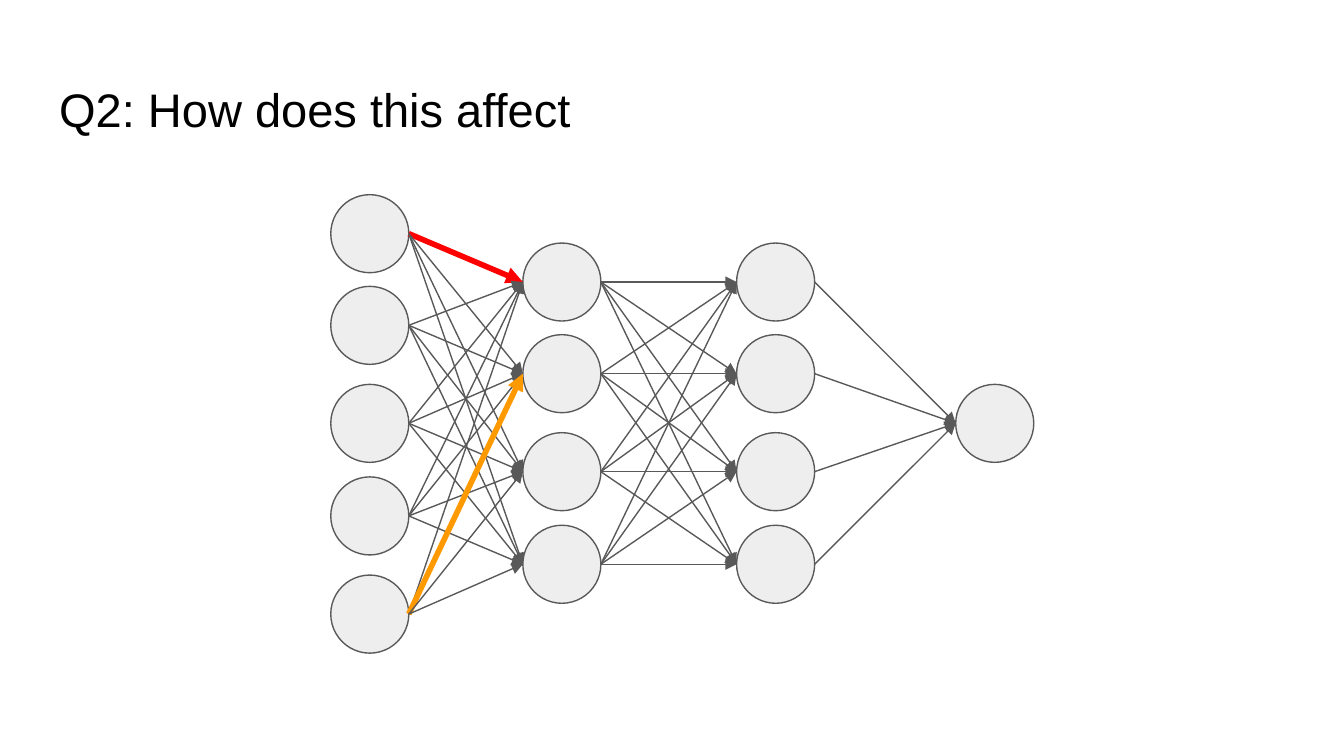
from dataclasses import dataclass
from itertools import product

from lxml import etree
from pptx import Presentation
from pptx.dml.color import RGBColor
from pptx.enum import shapes, text
from pptx.oxml import ns
from pptx.util import Pt


@dataclass(frozen=True)
class Theme:
    font: str = "Arial"
    size: float = 25.2
    ink: str = "000000"
    node: str = "EEEEEE"
    edge: str = "595959"
    thin: float = 0.75
    bold: float = 3
    red: str = "FF0000"
    gold: str = "FF9900"


THEME = Theme()
NODE = 41.8
ROWS = (0, 49.1, 101.6, 151.2, 203.8)
# Each layer: left and top offset in the net, and number of nodes
LAYERS = ((0, 0, 5), (102.9, 25.9, 4), (217.4, 25.9, 4), (334.8, 101.6, 1))
# Stressed weights: layer, from node, to node
MARKS = {(0, 0, 0): THEME.red, (0, 4, 1): THEME.gold}


def add_title(slide, box, words):
    title = slide.shapes.title
    title.left, title.top, title.width, title.height = map(Pt, box)
    frame = title.text_frame
    frame.text = words
    frame.word_wrap = True
    frame.auto_size = text.MSO_AUTO_SIZE.NONE
    frame.vertical_anchor = text.MSO_ANCHOR.BOTTOM
    frame.margin_left = frame.margin_right = Pt(7.2)
    frame.margin_top = frame.margin_bottom = Pt(7.2)
    line = frame.paragraphs[0]
    line.alignment = text.PP_ALIGN.LEFT
    line.font.name = THEME.font
    line.font.size = Pt(THEME.size)
    line.font.color.rgb = RGBColor.from_string(THEME.ink)


def add_node(slide, left, top):
    node = slide.shapes.add_shape(
        shapes.MSO_SHAPE.OVAL, Pt(left), Pt(top), Pt(NODE), Pt(NODE))
    node.shadow.inherit = False
    node.fill.solid()
    node.fill.fore_color.rgb = RGBColor.from_string(THEME.node)
    node.line.color.rgb = RGBColor.from_string(THEME.edge)
    node.line.width = Pt(THEME.thin)
    return node


def add_arrow(slide, start, end, color, width):
    """Draw an arrow from the right of one node to the left of another."""
    arrow = slide.shapes.add_connector(
        shapes.MSO_CONNECTOR.STRAIGHT,
        start.left + start.width, start.top + start.height // 2,
        end.left, end.top + end.height // 2)
    arrow.line.color.rgb = RGBColor.from_string(color)
    arrow.line.width = Pt(width)
    props = arrow.element.spPr
    head = etree.SubElement(props.find(ns.qn("a:ln")), ns.qn("a:tailEnd"))
    head.set("type", "triangle")
    etree.SubElement(props, ns.qn("a:effectLst"))


def add_net(slide, left, top):
    layers = [[add_node(slide, left + x, top + y + row) for row in ROWS[:count]]
              for x, y, count in LAYERS]
    for level, (near, far) in enumerate(zip(layers, layers[1:])):
        for (i, start), (j, end) in product(enumerate(near), enumerate(far)):
            mark = MARKS.get((level, i, j))
            add_arrow(slide, start, end, mark or THEME.edge,
                      THEME.bold if mark else THEME.thin)


def main():
    deck = Presentation()
    deck.slide_width, deck.slide_height = Pt(720), Pt(405)
    slide = deck.slides.add_slide(deck.slide_layouts.get_by_name("Title Only"))
    add_title(slide, (24.5, 35.3, 671, 45.4), "Q2: How does this affect")
    add_net(slide, 177.2, 104.3)
    deck.save("out.pptx")


if __name__ == "__main__":
    main()
